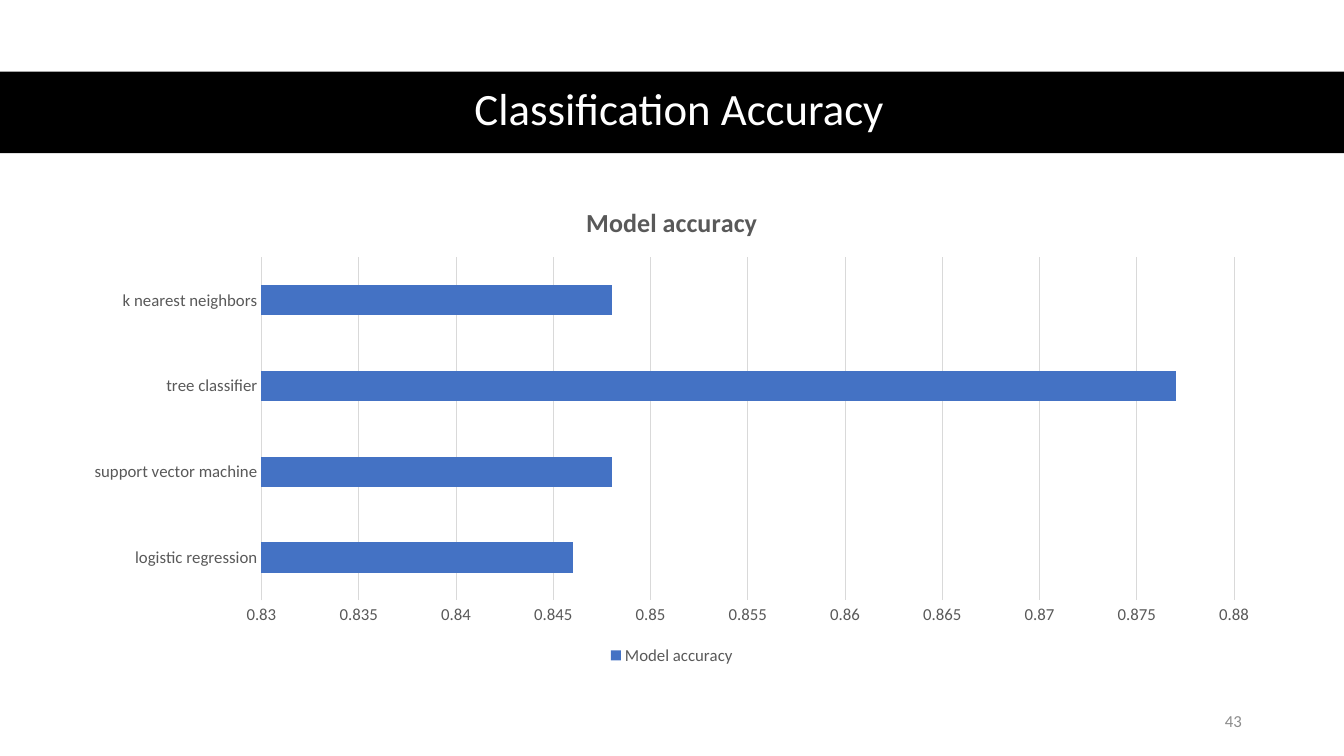
"""Build the classification accuracy slide with its bar chart."""
from pptx import Presentation
from pptx.chart.data import CategoryChartData
from pptx.dml.color import RGBColor
from pptx.enum.chart import XL_CHART_TYPE as ChartType, XL_LEGEND_POSITION as LegendPosition
from pptx.enum.chart import XL_TICK_MARK as TickMark
from pptx.enum.shapes import MSO_SHAPE as Shape
from pptx.enum.text import MSO_ANCHOR as Anchor, PP_ALIGN as Align
from pptx.util import Pt

WHITE = RGBColor(0xFF, 0xFF, 0xFF)
BLACK = RGBColor(0, 0, 0)
GRAY = RGBColor(0x59, 0x59, 0x59)
PALE_GRAY = RGBColor(0x8C, 0x8C, 0x8C)
GRID_GRAY = RGBColor(0xD9, 0xD9, 0xD9)
BLUE = RGBColor(0x44, 0x72, 0xC4)
FONT = "Calibri"

MEASURE = "Model accuracy"
ACCURACY = {
    "logistic regression": 0.846,
    "support vector machine": 0.848,
    "tree classifier": 0.877,
    "k nearest neighbors": 0.848,
}
SCALE = {"minimum_scale": 0.83, "maximum_scale": 0.88, "major_unit": 0.005}
BAND = (0, 51.1, 960, 58.3)
CHART = (50.4, 131.8, 859, 346.3)
TEXTS = [
    ("Classification Accuracy", (43.9, 50.4, 882.7, 58.3), 32, WHITE,
     {"alignment": Align.CENTER, "line_spacing": 0.9}),
    ("43", (678.2, 500.4, 216, 28.8), 12, PALE_GRAY, {"alignment": Align.RIGHT}),
]


def points(box):
    return [Pt(length) for length in box]


def set_all(target, values):
    for name, value in values.items():
        setattr(target, name, value)


def style(font, size, color):
    set_all(font, {"name": FONT, "size": Pt(size)})
    font.color.rgb = color


def add_band(slide):
    band = slide.shapes.add_shape(Shape.RECTANGLE, *points(BAND))
    band.shadow.inherit = False
    band.fill.solid()
    band.fill.fore_color.rgb = BLACK
    band.line.fill.background()


def add_text(slide, text, box, size, color, layout):
    frame = slide.shapes.add_textbox(*points(box)).text_frame
    set_all(frame, {"word_wrap": True, "vertical_anchor": Anchor.MIDDLE})
    paragraph = frame.paragraphs[0]
    set_all(paragraph, layout)
    run = paragraph.add_run()
    run.text = text
    style(run.font, size, color)


def add_accuracy_chart(slide):
    data = CategoryChartData()
    data.categories = list(ACCURACY)
    data.add_series(MEASURE, list(ACCURACY.values()))
    chart = slide.shapes.add_chart(ChartType.BAR_CLUSTERED, *points(CHART), data).chart
    style(chart.font, 10, BLACK)

    set_all(chart, {"has_title": True, "has_legend": True})
    heading = chart.chart_title
    heading.include_in_layout = False
    heading.text_frame.text = MEASURE
    style(heading.text_frame.paragraphs[0].runs[0].font, 18.6, GRAY)
    set_all(chart.legend, {"position": LegendPosition.BOTTOM, "include_in_layout": False})
    style(chart.legend.font, 12, GRAY)

    models, scores = chart.category_axis, chart.value_axis
    for axis in (models, scores):
        set_all(axis, {"major_tick_mark": TickMark.NONE, "minor_tick_mark": TickMark.NONE})
        style(axis.tick_labels.font, 12, GRAY)
    set_all(scores, SCALE)
    set_all(scores.tick_labels, {"number_format": "General", "number_format_is_linked": False})
    scores.format.line.fill.background()
    for line in (models.format.line, scores.major_gridlines.format.line):
        line.color.rgb = GRID_GRAY
        line.width = Pt(0.75)

    bars = chart.plots[0]
    set_all(bars, {"gap_width": 182, "vary_by_categories": False})
    fill = bars.series[0].format.fill
    fill.solid()
    fill.fore_color.rgb = BLUE


def main():
    deck = Presentation()
    set_all(deck, {"slide_width": Pt(960), "slide_height": Pt(540)})
    slide = deck.slides.add_slide(deck.slide_layouts[6])
    add_band(slide)
    for entry in TEXTS:
        add_text(slide, *entry)
    add_accuracy_chart(slide)
    deck.save("out.pptx")


if __name__ == "__main__":
    main()
